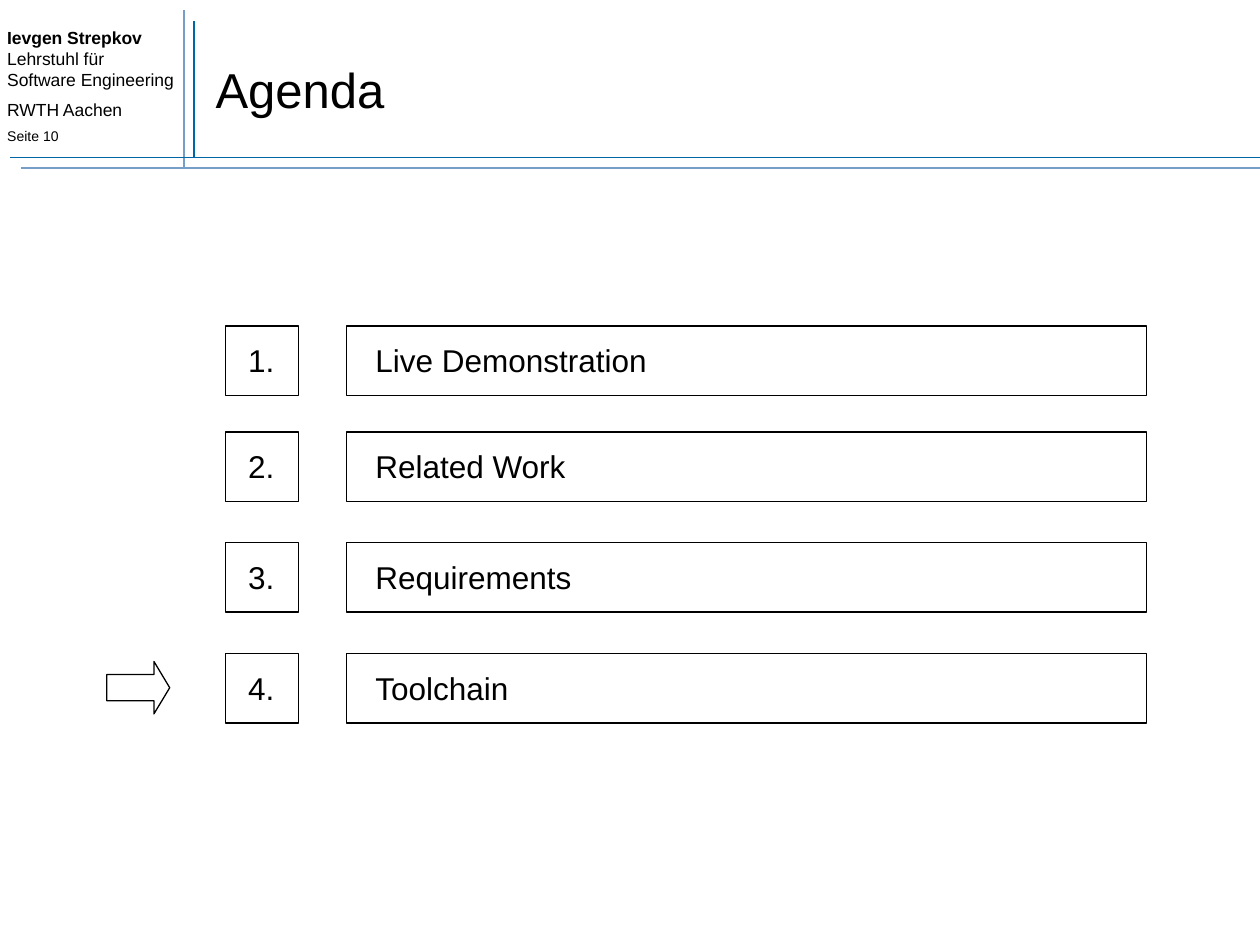
"""Build the agenda slide with its branded header and numbered rows."""
import pptx
import pptx.dml.color
import pptx.enum.shapes
import pptx.enum.text
import pptx.oxml.ns
import pptx.util
import lxml.etree

Pt = pptx.util.Pt
SHAPES = pptx.enum.shapes.MSO_SHAPE
ALIGN = pptx.enum.text.PP_ALIGN
MIDDLE = pptx.enum.text.MSO_ANCHOR.MIDDLE


def color(value):
    return pptx.dml.color.RGBColor.from_string(value)


class AgendaSlide:
    font = "Arial"
    black = "000000"
    dark_blue = "0067A6"
    light_blue = "779EC9"

    def __init__(self, slide):
        self.slide = slide

    def format_text(self, para, size):
        for span in para.runs:
            span.font.name = self.font
            span.font.size = Pt(size)
            span.font.color.rgb = color(self.black)

    def title(self, text, left, top, width, height):
        title = self.slide.shapes.title
        title.left, title.top = Pt(left), Pt(top)
        title.width, title.height = Pt(width), Pt(height)
        frame = title.text_frame
        frame.text = text
        frame.vertical_anchor = MIDDLE
        frame.paragraphs[0].alignment = ALIGN.LEFT
        self.format_text(frame.paragraphs[0], 28)

    def sender(self, lines, left, top, width, height):
        box = self.slide.shapes.add_textbox(Pt(left), Pt(top), Pt(width), Pt(height))
        frame = box.text_frame
        frame.word_wrap = True
        frame.text = "\n".join(text for text, size in lines)
        for index, (para, (text, size)) in enumerate(zip(frame.paragraphs, lines)):
            para.space_before = Pt(size / 2 if index else 0)
            self.format_text(para, size)
        frame.paragraphs[0].runs[0].font.bold = True

    def rule(self, start, end, line_color):
        rule = self.slide.shapes.add_connector(
            pptx.enum.shapes.MSO_CONNECTOR.STRAIGHT, *map(Pt, start + end))
        rule.line.color.rgb = color(line_color)
        rule.line.width = Pt(1)
        properties = rule._element.spPr
        lxml.etree.SubElement(properties, pptx.oxml.ns.qn("a:effectLst"))

    def outline(self, shapes, kind, left, top, width, height):
        shape = shapes.add_shape(kind, Pt(left), Pt(top), Pt(width), Pt(height))
        shape.shadow.inherit = False
        shape.fill.background()
        shape.line.color.rgb = color(self.black)
        shape.line.width = Pt(0.75)
        return shape

    def label(self, shapes, text, left, top, width, alignment):
        box = shapes.add_textbox(Pt(left), Pt(top), Pt(width), Pt(29))
        frame = box.text_frame
        frame.word_wrap = False
        frame.vertical_anchor = MIDDLE
        frame.text = text
        frame.paragraphs[0].alignment = alignment
        self.format_text(frame.paragraphs[0], 18)

    def row(self, number, text, text_width, top):
        shapes = self.slide.shapes.add_group_shape().shapes
        self.outline(shapes, SHAPES.RECTANGLE, 198, top, 457.2, 39.6)
        self.label(shapes, text, 207.4, top + 5, text_width, ALIGN.LEFT)
        self.outline(shapes, SHAPES.RECTANGLE, 128.9, top, 41.8, 39.6)
        self.label(shapes, f"{number}.", 134.6, top + 5, 29.5, ALIGN.CENTER)

    def marker(self, left, top, width, height):
        arrow = self.outline(self.slide.shapes, SHAPES.RIGHT_ARROW, left, top, width, height)
        arrow.adjustments[0] = 0.5
        arrow.adjustments[1] = 0.3


def main():
    deck = pptx.Presentation()
    deck.slide_width, deck.slide_height = Pt(720), Pt(540)
    agenda = AgendaSlide(deck.slides.add_slide(deck.slide_layouts[5]))

    agenda.sender([("Ievgen Strepkov\vLehrstuhl für Software Engineering", 10),
                   ("RWTH Aachen", 10), ("Seite 10", 8)], -3, 12, 110, 76)
    agenda.rule((110.8, 90), (110.8, 12), agenda.dark_blue)
    agenda.rule((105, 96), (105, 6), agenda.light_blue)
    agenda.rule((6, 90), (720, 90), agenda.dark_blue)
    agenda.rule((12, 96), (720, 96), agenda.light_blue)
    agenda.title("Agenda", 116, 18, 595.5, 66)

    agenda.marker(61, 378, 36, 30)
    rows = [("Live Demonstration", 171.4, 186.3), ("Related Work", 124.6, 246.8),
            ("Requirements", 127.4, 310.2), ("Toolchain", 91.4, 373.6)]
    for number, (text, text_width, top) in enumerate(rows, 1):
        agenda.row(number, text, text_width, top)
    deck.save("out.pptx")


if __name__ == "__main__":
    main()
